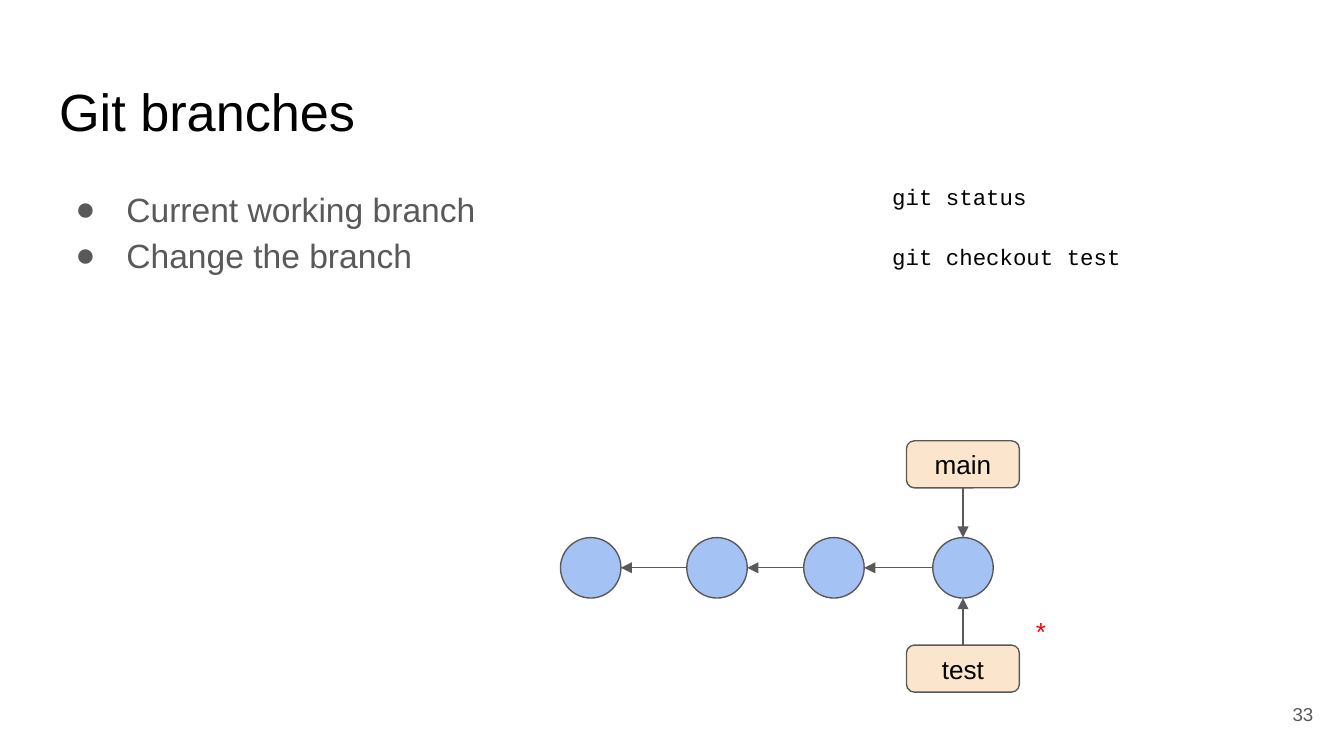
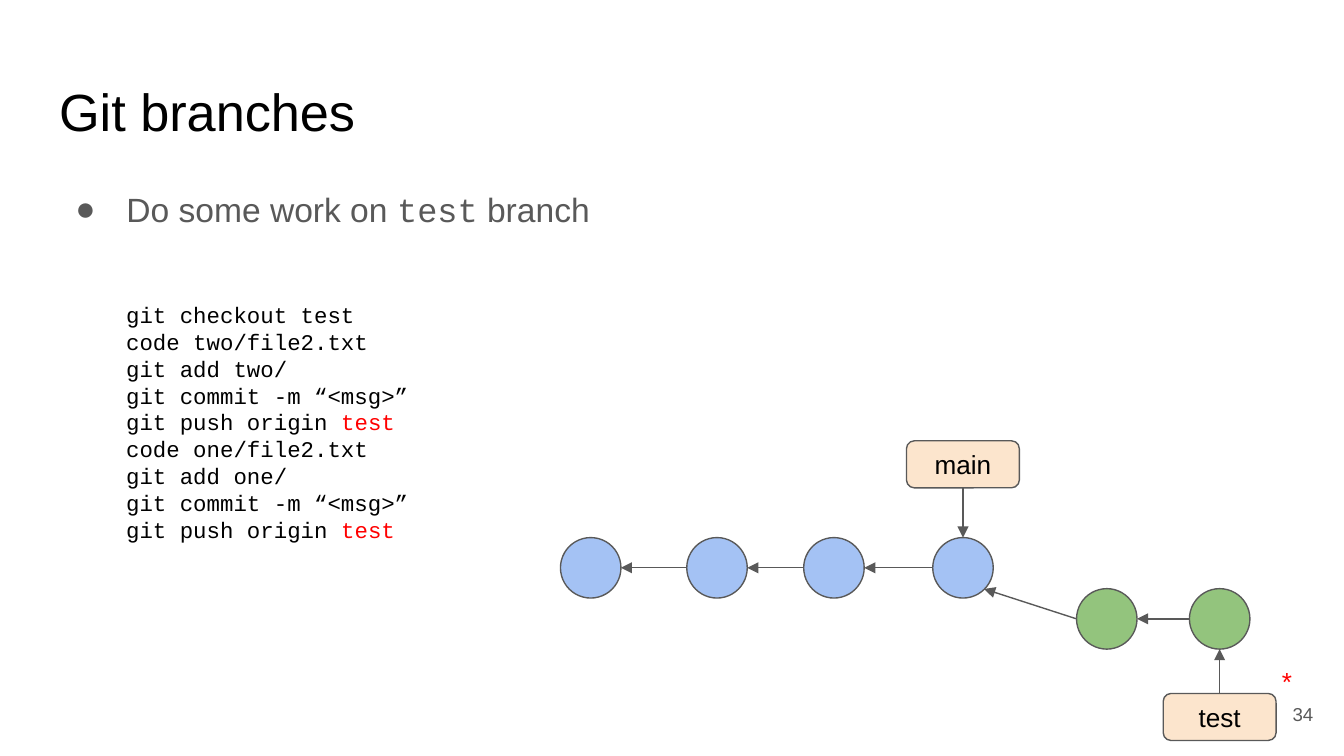
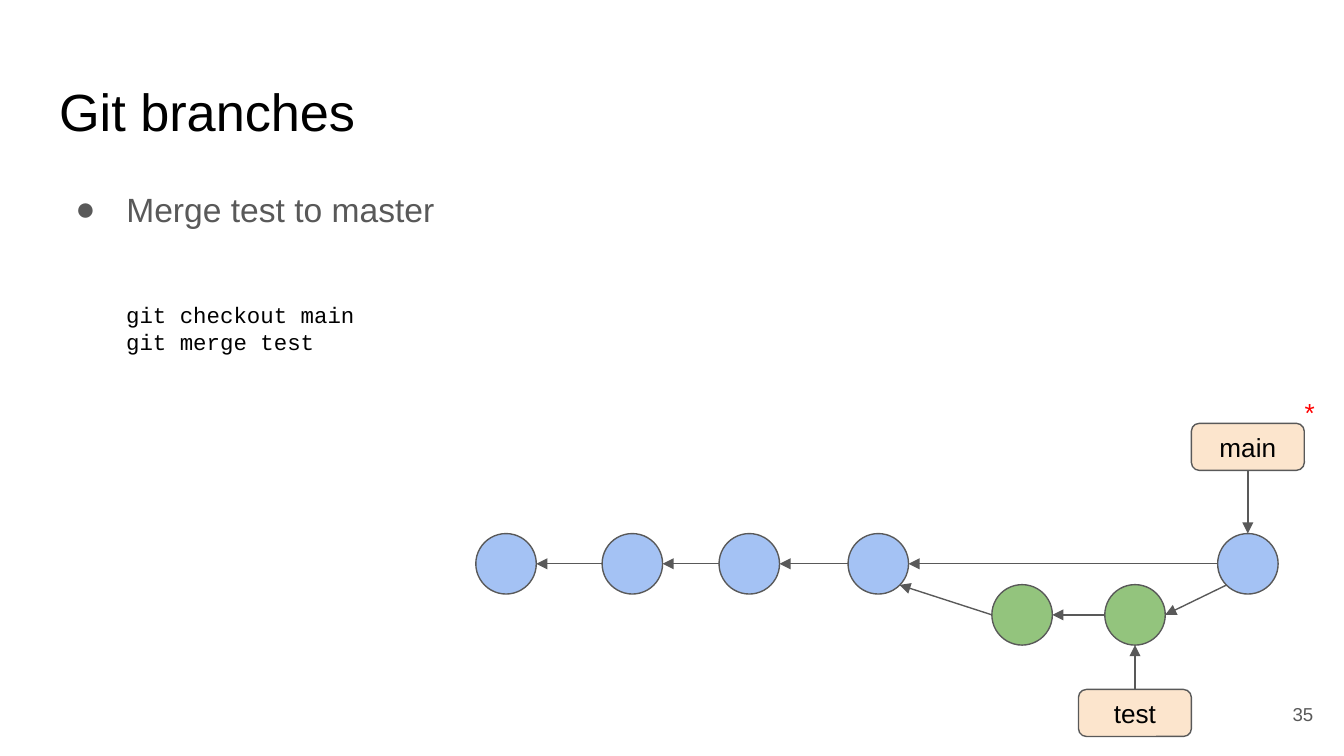
from dataclasses import dataclass
from typing import NamedTuple

from lxml import etree
from pptx import Presentation
from pptx.dml.color import RGBColor
from pptx.enum.shapes import MSO_CONNECTOR, MSO_SHAPE
from pptx.enum.text import MSO_ANCHOR, MSO_AUTO_SIZE, PP_ALIGN
from pptx.oxml.ns import qn
from pptx.util import Inches, Pt

BLACK = RGBColor(0x00, 0x00, 0x00)
GRAY = RGBColor(0x59, 0x59, 0x59)
RED = RGBColor(0xFF, 0x00, 0x00)
BLUE = RGBColor(0xA4, 0xC2, 0xF4)
GREEN = RGBColor(0x93, 0xC4, 0x7D)
PEACH = RGBColor(0xFC, 0xE5, 0xCD)
SANS, MONO = "Arial", "Courier New"

OVAL, ROUND = MSO_SHAPE.OVAL, MSO_SHAPE.ROUNDED_RECTANGLE
STRAIGHT = MSO_CONNECTOR.STRAIGHT
TOP, MIDDLE = MSO_ANCHOR.TOP, MSO_ANCHOR.MIDDLE
LEFT, CENTER, RIGHT = PP_ALIGN.LEFT, PP_ALIGN.CENTER, PP_ALIGN.RIGHT
FIXED = MSO_AUTO_SIZE.NONE

WIDTH = 10
HEIGHT = WIDTH * 9 / 16
SIZE = 0.45
HALF = SIZE / 2
CORNER = SIZE * 0.85
TAG_W, TAG_H = 0.84, 0.35
MARK = "`"


class Style(NamedTuple):
    font: str
    size: int
    color: RGBColor


HEAD = Style(SANS, 28, BLACK)
BODY = Style(SANS, 18, GRAY)
BODY_CODE = Style(MONO, 18, GRAY)
CODE = Style(MONO, 12, BLACK)
CODE_RED = Style(MONO, 12, RED)
NAME = Style(SANS, 14, BLACK)
STAR = Style(SANS, 14, RED)
PAGE = Style(SANS, 10, GRAY)


class Box(NamedTuple):
    x: float
    y: float
    w: float
    h: float


class Spot(NamedTuple):
    x: float
    y: float


class Node(NamedTuple):
    x: float
    y: float
    fill: RGBColor

    def left(self) -> Spot:
        return Spot(self.x, self.y + HALF)

    def right(self) -> Spot:
        return Spot(self.x + SIZE, self.y + HALF)

    def top(self) -> Spot:
        return Spot(self.x + HALF, self.y)

    def bottom(self) -> Spot:
        return Spot(self.x + HALF, self.y + SIZE)

    def low_left(self) -> Spot:
        return Spot(self.x + SIZE - CORNER, self.y + CORNER)

    def low_right(self) -> Spot:
        return Spot(self.x + CORNER, self.y + CORNER)


class Tag(NamedTuple):
    text: str
    node: Node
    y: float


class Code(NamedTuple):
    lines: list[str]
    box: Box


@dataclass
class Page:
    number: int
    points: list[str]
    body_h: float
    codes: list[Code]
    nodes: list[Node]
    links: list[tuple[Spot, Spot]]
    tags: list[Tag]
    star: Spot


def inches(values) -> list:
    return [Inches(value) for value in values]


def write(frame, lines: list[str], style: Style, accent: Style | None = None,
          align=LEFT, anchor=TOP, bullets: bool = False) -> None:
    frame.word_wrap = True
    frame.auto_size = FIXED
    frame.vertical_anchor = anchor
    frame.margin_left = frame.margin_right = Inches(0.1)
    frame.margin_top = frame.margin_bottom = Inches(0.1)
    frame.text = "\n".join(line.replace(MARK, "") for line in lines)
    for para, line in zip(frame.paragraphs, lines):
        para.alignment = align
        para.space_before = Pt(0)
        if bullets:
            add_bullet(para)
        pieces = line.split(MARK)
        para.runs[0].text = pieces[0]
        for piece in filter(None, pieces[1:]):
            para.add_run().text = piece
        for index, run in enumerate(para.runs):
            look = accent if accent and index % 2 else style
            run.font.name = look.font
            run.font.size = Pt(look.size)
            run.font.color.rgb = look.color


def add_bullet(para) -> None:
    para.line_spacing = 1.15
    props = para._p.get_or_add_pPr()
    props.set("marL", str(Inches(0.5)))
    props.set("indent", str(Inches(-0.38)))
    tint = etree.SubElement(props, qn("a:buClr"))
    etree.SubElement(tint, qn("a:srgbClr"), val=str(GRAY))
    etree.SubElement(props, qn("a:buChar"), char="●")


def place(shape, box: Box) -> None:
    shape.left, shape.top, shape.width, shape.height = inches(box)


def add_text(slide, text: list[str], box: Box, style: Style, **looks) -> None:
    write(slide.shapes.add_textbox(*inches(box)).text_frame, text, style, **looks)


def add_shape(slide, kind, box: Box, fill: RGBColor):
    shape = slide.shapes.add_shape(kind, *inches(box))
    shape.shadow.inherit = False
    shape.fill.solid()
    shape.fill.fore_color.rgb = fill
    shape.line.color.rgb = GRAY
    shape.line.width = Pt(0.75)
    return shape


def add_arrow(slide, start: Spot, end: Spot):
    arrow = slide.shapes.add_connector(STRAIGHT, *inches(start + end))
    arrow.line.color.rgb = GRAY
    arrow.line.width = Pt(0.75)
    etree.SubElement(arrow.line._get_or_add_ln(), qn("a:tailEnd"), type="triangle")
    etree.SubElement(arrow._element.spPr, qn("a:effectLst"))
    return arrow


def add_tag(slide, tag: Tag) -> None:
    mid = tag.node.x + HALF
    shape = add_shape(slide, ROUND, Box(mid - TAG_W / 2, tag.y, TAG_W, TAG_H), PEACH)
    write(shape.text_frame, [tag.text], NAME, align=CENTER, anchor=MIDDLE)
    above = tag.y < tag.node.y
    start = Spot(mid, tag.y + TAG_H if above else tag.y)
    arrow = add_arrow(slide, start, tag.node.top() if above else tag.node.bottom())
    arrow.begin_connect(shape, 2 if above else 0)


def add_page(deck, page: Page) -> None:
    slide = deck.slides.add_slide(deck.slide_layouts[1])
    title, body = slide.shapes.title, slide.placeholders[1]
    place(title, Box(0.34, 0.49, 9.32, 0.63))
    write(title.text_frame, ["Git branches"], HEAD)
    place(body, Box(0.34, 1.26, 5.7, page.body_h))
    write(body.text_frame, page.points, BODY, BODY_CODE, bullets=True)
    for code in page.codes:
        add_text(slide, code.lines, code.box, CODE, accent=CODE_RED)
    for node in page.nodes:
        add_shape(slide, OVAL, Box(node.x, node.y, SIZE, SIZE), node.fill)
    for tag in page.tags:
        add_tag(slide, tag)
    add_text(slide, ["*"], Box(*page.star, 0.33, 0.29), STAR)
    for start, end in page.links:
        add_arrow(slide, start, end)
    add_text(slide, [str(page.number)], Box(9.27, 5.1, 0.6, 0.43), PAGE,
             align=RIGHT, anchor=MIDDLE)


def trunk(dx: float = 0, dy: float = 0) -> list[Node]:
    return [Node(x + dx, 4 + dy, BLUE) for x in (4.17, 5.11, 5.98, 6.94)]


def branch(dx: float = 0, dy: float = 0) -> list[Node]:
    return [Node(x + dx, 4.38 + dy, GREEN) for x in (8.01, 8.85)]


def chain(nodes: list[Node]) -> list[tuple[Spot, Spot]]:
    return [(new.left(), old.right()) for old, new in zip(nodes, nodes[1:])]


def fork(main: list[Node], side: list[Node]) -> list[tuple[Spot, Spot]]:
    return chain(main) + [(side[0].left(), main[-1].low_right())] + chain(side)


def commit(folder: str) -> list[str]:
    return [f"code {folder}/file2.txt", f"git add {folder}/",
            "git commit -m “<msg>”", "git push origin `test`"]


def make_pages() -> list[Page]:
    main, side = trunk(), branch()
    shift = (-0.63, -0.03)
    old, work = trunk(*shift), branch(*shift)
    merge = Node(9.06, old[0].y, BLUE)
    return [
        Page(33, ["Current working branch", "Change the branch"], 0.98,
             [Code(["git status"], Box(6.54, 1.26, 2.46, 0.45)),
              Code(["git checkout test"], Box(6.54, 1.71, 2.46, 0.45))],
             main, chain(main),
             [Tag("main", main[-1], 3.28), Tag("test", main[-1], 4.8)],
             Spot(7.61, 4.48)),
        Page(34, ["Do some work on `test` branch"], 0.63,
             [Code(["git checkout test"] + commit("two") + commit("one"),
                   Box(0.84, 2.14, 2.46, 2.6))],
             main + side, fork(main, side),
             [Tag("main", main[-1], 3.28), Tag("test", side[-1], 5.16)],
             Spot(9.44, 4.85)),
        Page(35, ["Merge test to master"], 0.63,
             [Code(["git checkout main", "git merge test"],
                   Box(0.84, 2.14, 2.46, 0.67))],
             old + work + [merge],
             fork(old, work) + [(merge.low_left(), work[-1].right()),
                                (merge.left(), old[-1].right())],
             [Tag("main", merge, 3.15), Tag("test", work[-1], 5.13)],
             Spot(9.61, 2.85)),
    ]


def main() -> None:
    deck = Presentation()
    deck.slide_width, deck.slide_height = Inches(WIDTH), Inches(HEIGHT)
    for page in make_pages():
        add_page(deck, page)
    deck.save("out.pptx")


if __name__ == "__main__":
    main()
